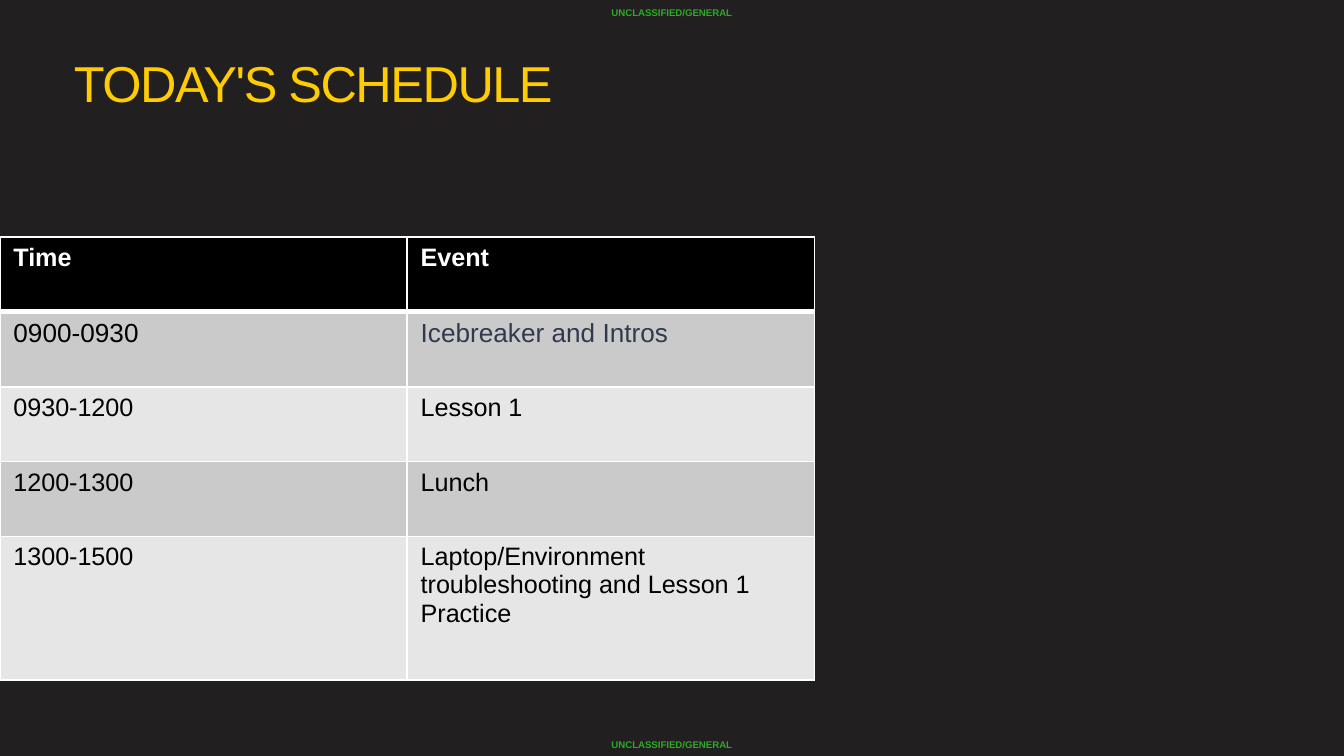
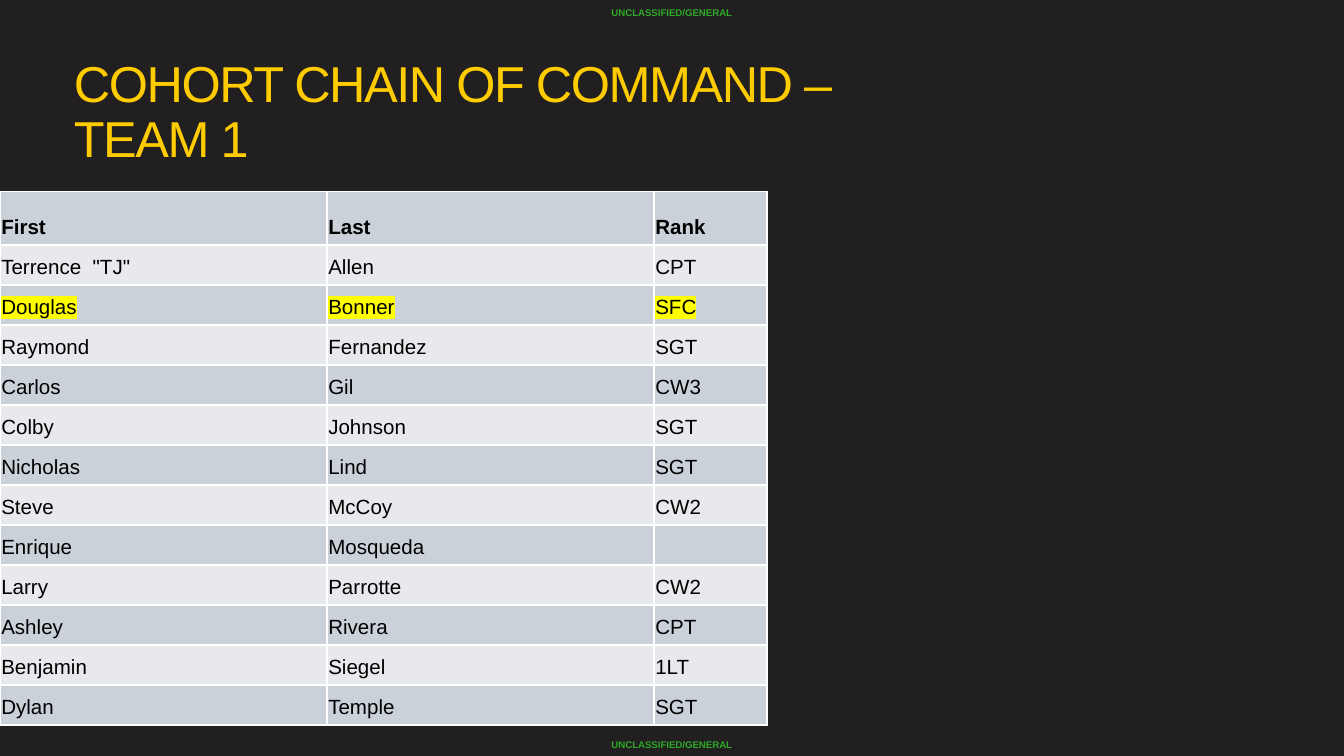
from dataclasses import dataclass

import lxml.etree
import pptx
import pptx.dml.color
import pptx.enum.text
import pptx.oxml.ns
import pptx.util

Pt = pptx.util.Pt
Anchor = pptx.enum.text.MSO_ANCHOR
Align = pptx.enum.text.PP_ALIGN
AutoSize = pptx.enum.text.MSO_AUTO_SIZE
qn = pptx.oxml.ns.qn

FONT = "Arial"
BACKGROUND, GOLD, GREEN = "221F20", "FFCC01", "2DAA27"
BLACK, WHITE, SLATE, YELLOW = "000000", "FFFFFF", "31394D", "FFFF00"
MARKING = "UNCLASSIFIED/GENERAL"
TITLE_ONLY = 5


@dataclass(frozen=True)
class TextStyle:
    size: float
    color: str = BLACK
    bold: bool = False
    highlight: str = ""
    spacing: float = 0


@dataclass(frozen=True)
class Banner:
    top: float
    side_margin: float
    anchor: Anchor


@dataclass(frozen=True)
class TableDesign:
    top: float
    column_widths: list[float]
    row_heights: list[float]
    margins: tuple[float, float, float, float]  # left, top, right, bottom
    anchor: Anchor
    header_fill: str
    band_fills: tuple[str, str]
    header_rule: float
    header_style: TextStyle
    body_style: TextStyle
    special_styles: dict[tuple[int, int], TextStyle]


BANNERS = [
    Banner(391.68, 0, Anchor.BOTTOM),
    Banner(0, 7.2, Anchor.TOP),
]
BANNER_STYLE = TextStyle(5.2, GREEN, bold=True)
TITLE_STYLE = TextStyle(27, GOLD, spacing=-0.8)

SCHEDULE = [
    ("Time", "Event"),
    ("0900-0930", "Icebreaker and Intros"),
    ("0930-1200", "Lesson 1"),
    ("1200-1300", "Lunch"),
    ("1300-1500", "Laptop/Environment troubleshooting and Lesson 1 Practice"),
]
SCHEDULE_DESIGN = TableDesign(
    top=126.9,
    column_widths=[218.2] * 2,
    row_heights=[40.15] * 4 + [77],
    margins=(7.2, 3.6, 7.2, 3.6),
    anchor=Anchor.TOP,
    header_fill=BLACK,
    band_fills=("CACACA", "E6E6E6"),
    header_rule=3,
    header_style=TextStyle(13.5, WHITE, bold=True),
    body_style=TextStyle(13.5),
    special_styles={(1, 0): TextStyle(14), (1, 1): TextStyle(14, SLATE)},
)

TEAM = [
    ("First", "Last", "Rank"),
    ("Terrence\N{NO-BREAK SPACE} \"TJ\"", "Allen", "CPT"),
    ("Douglas", "Bonner", "SFC"),
    ("Raymond", "Fernandez", "SGT"),
    ("Carlos", "Gil", "CW3"),
    ("Colby", "Johnson", "SGT"),
    ("Nicholas", "Lind", "SGT"),
    ("Steve", "McCoy", "CW2"),
    ("Enrique", "Mosqueda", ""),
    ("Larry", "Parrotte", "CW2"),
    ("Ashley", "Rivera", "CPT"),
    ("Benjamin", "Siegel", "1LT"),
    ("Dylan", "Temple", "SGT"),
]
LEADER_ROW = 2
TEAM_DESIGN = TableDesign(
    top=102.7,
    column_widths=[175.2, 175.2, 60.4],
    row_heights=[28.7] + [21.43] * 12,
    margins=(0.7, 0.7, 0.7, 3.6),
    anchor=Anchor.BOTTOM,
    header_fill="CAD1D8",
    band_fills=("E7E9EC", "CAD1D8"),
    header_rule=1,
    header_style=TextStyle(11, bold=True),
    body_style=TextStyle(11),
    special_styles={
        (LEADER_ROW, column): TextStyle(11, highlight=YELLOW) for column in range(3)
    },
)


def rgb(color: str) -> pptx.dml.color.RGBColor:
    return pptx.dml.color.RGBColor.from_string(color)


def add_span(para, text: str, style: TextStyle) -> None:
    span = para.add_run()
    span.text = text
    font = span.font
    font.name, font.size, font.bold = FONT, Pt(style.size), style.bold
    font.color.rgb = rgb(style.color)
    properties = font._element
    if style.spacing:
        properties.set("spc", str(round(style.spacing * 100)))
    if style.highlight:
        highlight = lxml.etree.Element(qn("a:highlight"))
        lxml.etree.SubElement(highlight, qn("a:srgbClr"), val=style.highlight)
        properties.find(qn("a:solidFill")).addnext(highlight)


def set_margins(target, left: float, top: float, right: float, bottom: float) -> None:
    target.margin_left, target.margin_top = Pt(left), Pt(top)
    target.margin_right, target.margin_bottom = Pt(right), Pt(bottom)


def set_borders(cell, top: float, bottom: float) -> None:
    """Draw white cell borders; the schema wants them ahead of the fill."""
    properties = cell._tc.get_or_add_tcPr()
    widths = {"a:lnL": 1, "a:lnR": 1, "a:lnT": top, "a:lnB": bottom}
    for position, (tag, width) in enumerate(widths.items()):
        line = lxml.etree.Element(qn(tag), w=str(Pt(width)))
        fill = lxml.etree.SubElement(line, qn("a:solidFill"))
        lxml.etree.SubElement(fill, qn("a:srgbClr"), val=WHITE)
        properties.insert(position, line)


def add_banner(page, banner: Banner) -> None:
    box = page.shapes.add_textbox(Pt(82), Pt(banner.top), Pt(556), Pt(13.68))
    frame = box.text_frame
    frame.word_wrap = True
    frame.auto_size = AutoSize.SHAPE_TO_FIT_TEXT
    frame.vertical_anchor = banner.anchor
    set_margins(frame, banner.side_margin, 3.6, banner.side_margin, 3.6)
    para = frame.paragraphs[0]
    para.alignment = Align.CENTER
    add_span(para, MARKING, BANNER_STYLE)


def format_title(page, text: str) -> None:
    title = page.shapes.title
    title.left, title.top, title.width, title.height = Pt(32.4), Pt(24.5), Pt(486), Pt(70.5)
    frame = title.text_frame
    frame.word_wrap = True
    frame.auto_size = AutoSize.NONE
    frame.vertical_anchor = Anchor.TOP
    set_margins(frame, 7.2, 7.2, 7.2, 7.2)
    para = frame.paragraphs[0]
    para.alignment = Align.LEFT
    para.line_spacing = 0.9
    add_span(para, text, TITLE_STYLE)


def add_table(page, rows: list[tuple[str, ...]], design: TableDesign) -> None:
    table = page.shapes.add_table(
        len(rows), len(design.column_widths), Pt(0), Pt(design.top),
        Pt(sum(design.column_widths)), Pt(sum(design.row_heights)),
    ).table
    for column, width in zip(table.columns, design.column_widths):
        column.width = Pt(width)
    for row, height in zip(table.rows, design.row_heights):
        row.height = Pt(height)

    for row_index, texts in enumerate(rows):
        is_header = row_index == 0
        fill = design.header_fill if is_header else design.band_fills[(row_index - 1) % 2]
        row_style = design.header_style if is_header else design.body_style
        for column_index, text in enumerate(texts):
            cell = table.cell(row_index, column_index)
            cell.fill.solid()
            cell.fill.fore_color.rgb = rgb(fill)
            cell.vertical_anchor = design.anchor
            set_margins(cell, *design.margins)
            set_borders(
                cell,
                top=design.header_rule if row_index == 1 else 1,
                bottom=design.header_rule if is_header else 1,
            )
            style = design.special_styles.get((row_index, column_index), row_style)
            para = cell.text_frame.paragraphs[0]
            if text:
                add_span(para, text, style)
            else:
                # Keeps an empty cell from growing to the default text size.
                lxml.etree.SubElement(
                    para._p, qn("a:endParaRPr"), sz=str(round(style.size * 100))
                )


def add_page(deck, title: str, rows: list[tuple[str, ...]], design: TableDesign) -> None:
    page = deck.slides.add_slide(deck.slide_layouts[TITLE_ONLY])
    for banner in BANNERS:
        add_banner(page, banner)
    format_title(page, title)
    add_table(page, rows, design)


def main() -> None:
    deck = pptx.Presentation()
    deck.slide_width, deck.slide_height = Pt(720), Pt(405)
    background = deck.slide_master.background.fill
    background.solid()
    background.fore_color.rgb = rgb(BACKGROUND)
    add_page(deck, "TODAY'S SCHEDULE", SCHEDULE, SCHEDULE_DESIGN)
    add_page(deck, "COHORT CHAIN OF COMMAND – TEAM 1", TEAM, TEAM_DESIGN)
    deck.save("out.pptx")


if __name__ == "__main__":
    main()
